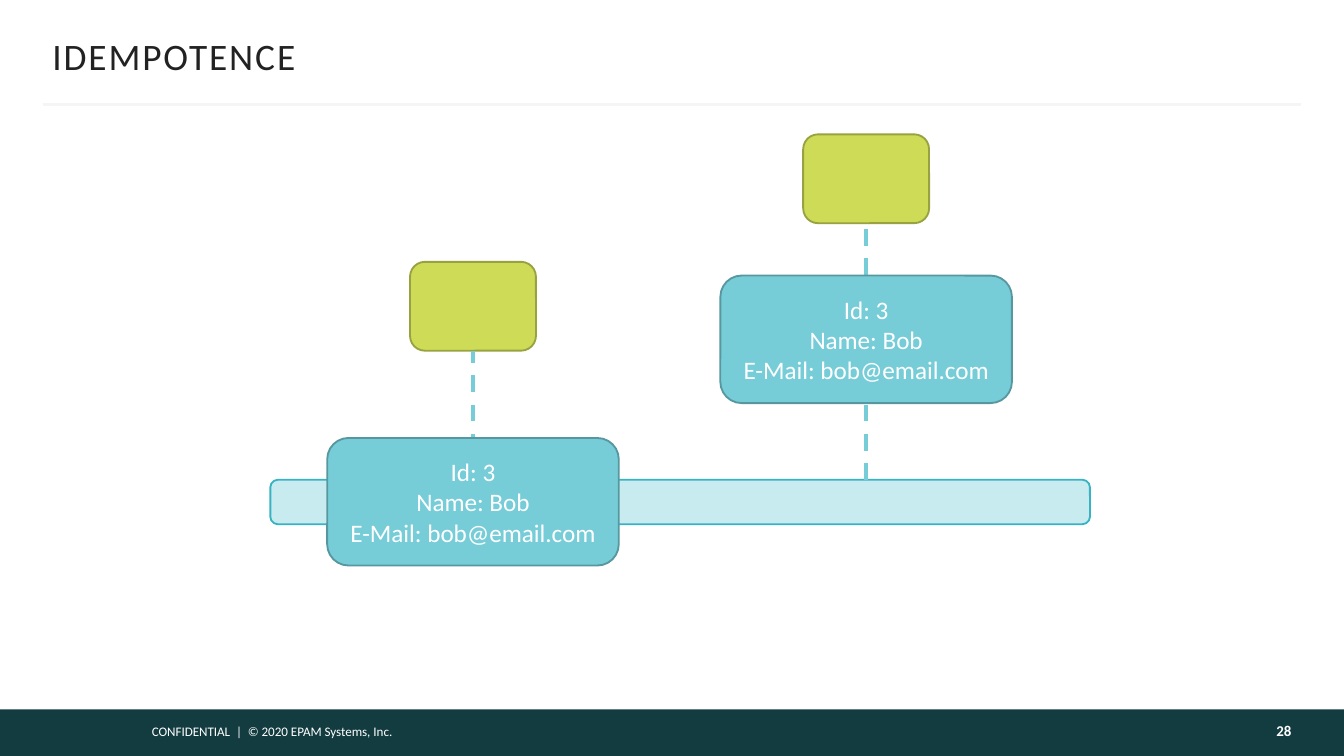
from pptx import Presentation
from pptx.dml.color import RGBColor
from pptx.enum.dml import MSO_LINE
from pptx.enum.shapes import MSO_CONNECTOR, MSO_SHAPE
from pptx.enum.text import MSO_ANCHOR, PP_ALIGN
from pptx.oxml.ns import qn
from pptx.util import Cm, Pt
from lxml import etree

RECT, ROUND = MSO_SHAPE.RECTANGLE, MSO_SHAPE.ROUNDED_RECTANGLE
STRAIGHT = MSO_CONNECTOR.STRAIGHT
DASH = MSO_LINE.DASH
TOP, MIDDLE = MSO_ANCHOR.TOP, MSO_ANCHOR.MIDDLE
LEFT, CENTER, RIGHT = PP_ALIGN.LEFT, PP_ALIGN.CENTER, PP_ALIGN.RIGHT
BOTTOM_SIDE = 2


def rgb(value):
    return RGBColor.from_string(value)


class SlideBuilder:
    font = "Calibri"
    dark, rule, ink, white = "133C41", "F5F5F5", "222222", "FFFFFF"
    green, green_edge = "CEDB56", "98A240"
    teal, teal_edge = "76CDD8", "5798A0"
    pale, pale_edge = "C8EBEF", "38B3C3"

    def __init__(self, s):
        self.s = s

    def add_lines(self, tf, lines, size, color, align=LEFT, anchor=TOP, bold=False, spacing=0):
        tf.word_wrap = True
        tf.vertical_anchor = anchor
        for i, line in enumerate(lines):
            p = tf.paragraphs[0] if i == 0 else tf.add_paragraph()
            p.alignment = align
            r = p.add_run()
            r.text = line
            r.font.name = self.font
            r.font.size = Pt(size)
            r.font.bold = bold
            r.font.color.rgb = rgb(color)
            if spacing:
                r._r.get_or_add_rPr().set("spc", str(spacing * 100))

    def text(self, x, y, w, h, line, size, color, margins=(0.25, 0.13, 0.25, 0.13), **style):
        tf = self.s.shapes.add_textbox(Cm(x), Cm(y), Cm(w), Cm(h)).text_frame
        tf.margin_left, tf.margin_top, tf.margin_right, tf.margin_bottom = map(Cm, margins)
        self.add_lines(tf, [line], size, color, **style)

    def box(self, x, y, w, h, fill, edge=None, kind=ROUND, lines=()):
        sp = self.s.shapes.add_shape(kind, Cm(x), Cm(y), Cm(w), Cm(h))
        sp.shadow.inherit = False
        sp.fill.solid()
        sp.fill.fore_color.rgb = rgb(fill)
        if edge:
            sp.line.color.rgb = rgb(edge)
            sp.line.width = Pt(1)
        else:
            sp.line.fill.background()
        self.add_lines(sp.text_frame, lines, 13.5, self.white, CENTER, MIDDLE)
        return sp

    def line(self, x1, y1, x2, y2, color, width, dash=None, target=None):
        c = self.s.shapes.add_connector(STRAIGHT, Cm(x1), Cm(y1), Cm(x2), Cm(y2))
        c.line.color.rgb = rgb(color)
        c.line.width = Pt(width)
        if dash:
            c.line.dash_style = dash
        if target is not None:
            c.end_connect(target, BOTTOM_SIDE)
        etree.SubElement(c._element.spPr, qn("a:effectLst"))


def main():
    prs = Presentation()
    prs.slide_width, prs.slide_height = Cm(25.4), Cm(14.29)
    b = SlideBuilder(prs.slides.add_slide(prs.slide_layouts[6]))

    b.box(0, 13.41, 25.4, 0.88, b.dark, kind=RECT)
    b.text(2.62, 13.54, 6.73, 0.56, "CONFIDENTIAL  |  © 2020 EPAM Systems, Inc.", 7, b.white)
    b.line(0.81, 1.98, 24.59, 1.98, b.rule, 1.5)
    b.text(0.99, 0.64, 23.42, 0.84, "IDEMPOTENCE", 20, b.ink,
           margins=(0, 0.13, 0, 0.13), anchor=MIDDLE, spacing=1)
    b.text(20.6, 13.41, 3.81, 0.88, "28", 8, "FEFEFE",
           margins=(0.25, 0.13, 0, 0.23), align=RIGHT, anchor=MIDDLE, bold=True)

    bar_top = 9.07
    service_w, service_h = 2.38, 1.68
    card_w, card_h = 5.51, 2.41
    message = ["Id: 3", "Name: Bob", "E-Mail: bob@email.com"]

    b.box(5.11, bar_top, 15.49, 0.84, b.pale, b.pale_edge)
    for center, service_top, card_top in [(8.94, 4.95, 8.28), (16.37, 2.54, 5.21)]:
        service = b.box(center - service_w / 2, service_top, service_w, service_h,
                        b.green, b.green_edge)
        b.line(center, bar_top, center, service_top + service_h, b.teal, 2.25, DASH, service)
        b.box(center - card_w / 2, card_top, card_w, card_h, b.teal, b.teal_edge, lines=message)

    prs.save("out.pptx")


if __name__ == "__main__":
    main()
